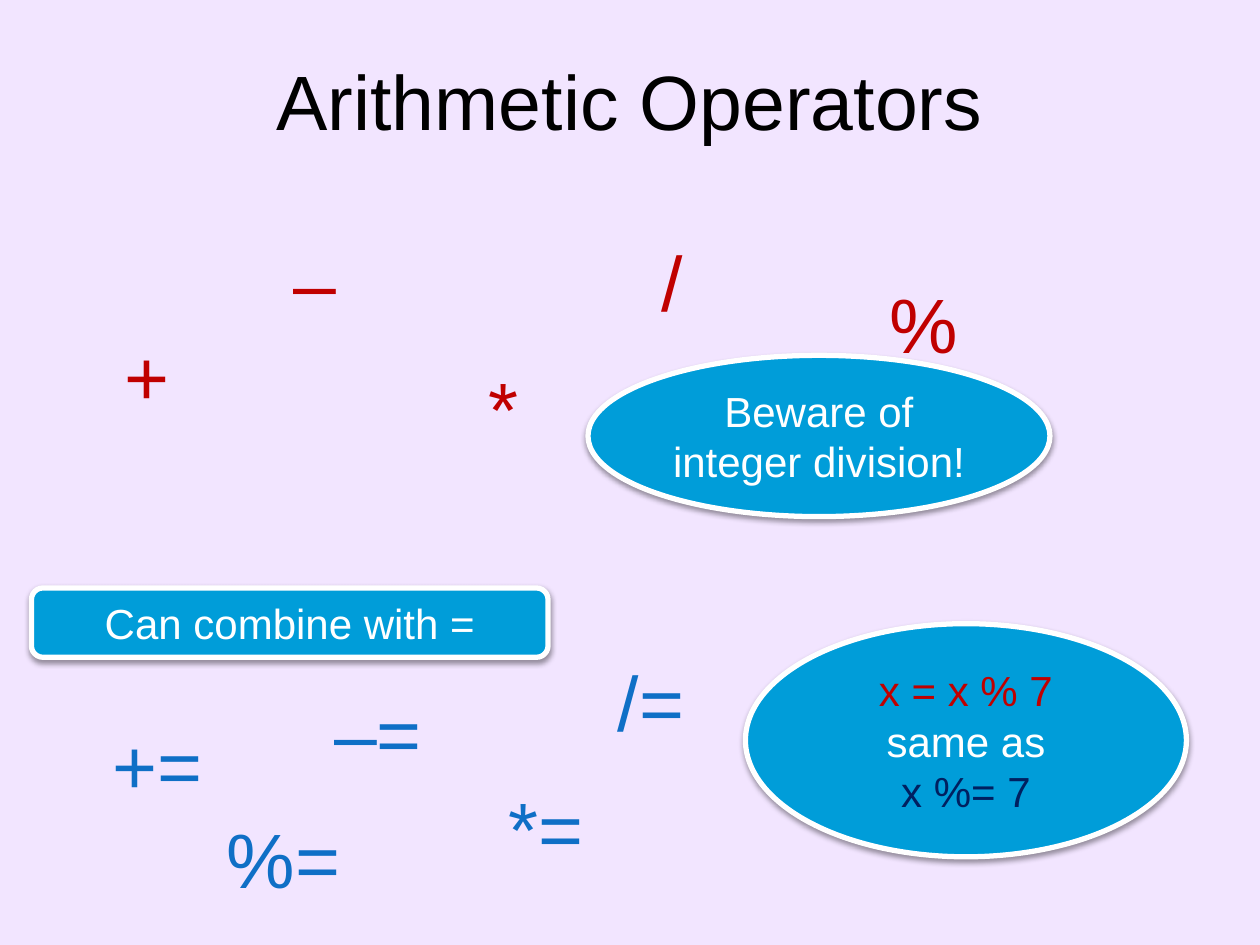
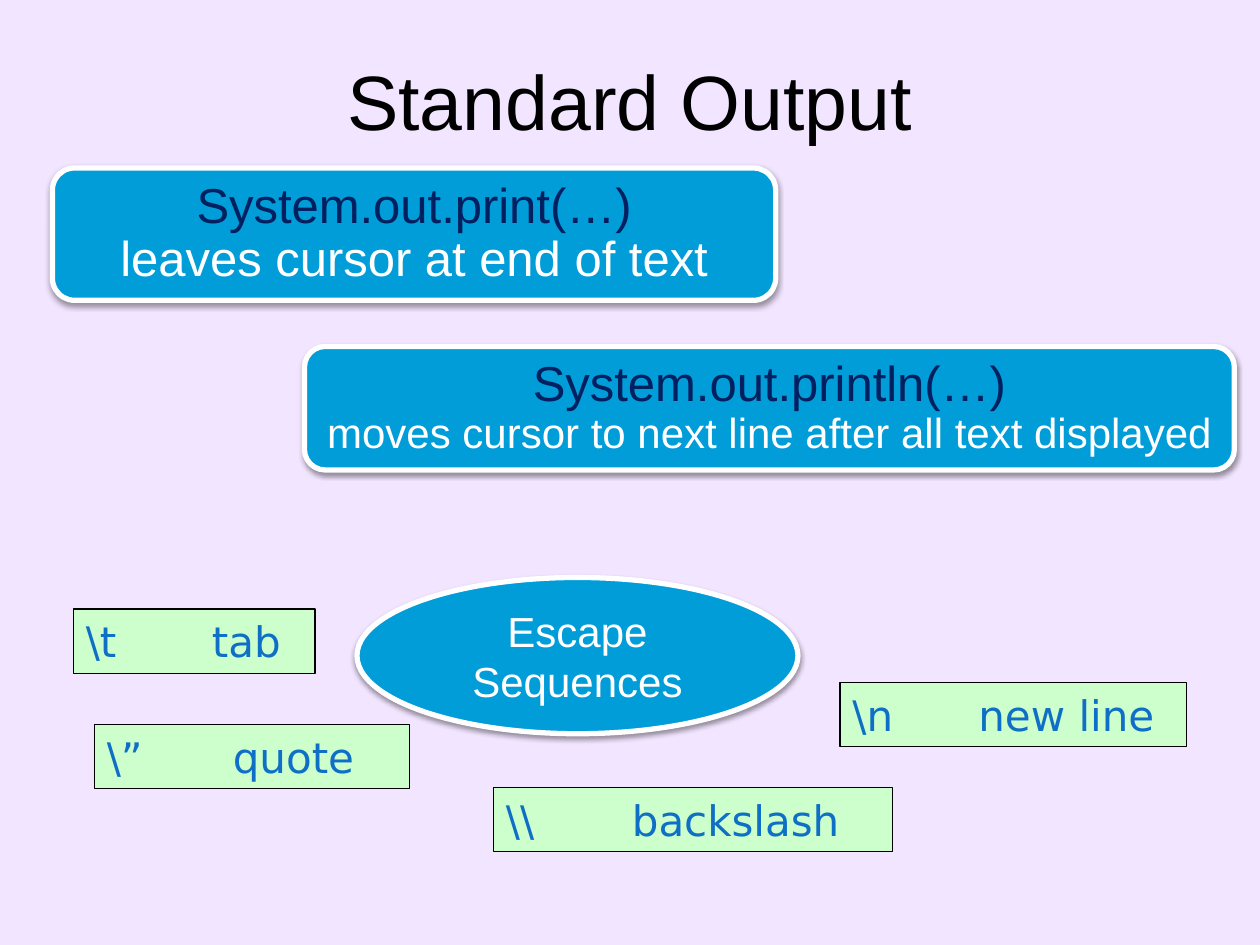
"""Build two slides on Java operators and standard output."""
import dataclasses

import lxml.etree
import pptx
import pptx.dml.color
import pptx.enum.shapes
import pptx.enum.text
import pptx.oxml.ns
import pptx.shapes.autoshape
import pptx.slide
import pptx.text.text
import pptx.util

COLORS = {
    "background": "F2E5FF",
    "title": "000000",
    "callout": "009DD9",
    "white": "FFFFFF",
    "operator": "C00000",
    "code": "002060",
    "combined": "0F6FC6",
    "key": "CCFFCC",
    "key_border": "000000",
}
SLIDE_WIDTH = pptx.util.Inches(10)
SLIDE_HEIGHT = pptx.util.Inches(7.5)
COLUMN = SLIDE_WIDTH / 120
ROW = SLIDE_HEIGHT / 90
SHAPES = pptx.enum.shapes.MSO_SHAPE
ALIGN = pptx.enum.text.PP_ALIGN
ANCHOR = pptx.enum.text.MSO_ANCHOR


@dataclasses.dataclass(frozen=True)
class Area:
    """A place on the slide in grid columns and rows."""
    column: float
    row: float
    columns: float
    rows: float

    def emu(self) -> tuple[int, int, int, int]:
        """Return left, top, width and height in EMU."""
        return (round(self.column * COLUMN), round(self.row * ROW),
                round(self.columns * COLUMN), round(self.rows * ROW))


@dataclasses.dataclass(frozen=True)
class Line:
    """One paragraph of a callout."""
    text: str
    color: str = "white"
    size: float = 24


@dataclasses.dataclass(frozen=True)
class Callout:
    """A blue shape with a white border and a soft shadow."""
    outline: SHAPES
    area: Area
    lines: tuple[Line, ...]
    spacing: float = 1.0


@dataclasses.dataclass(frozen=True)
class Operator:
    """A large operator sign placed on the grid."""
    sign: str
    column: float
    row: float
    color: str = "operator"


@dataclasses.dataclass(frozen=True)
class EscapeKey:
    """An escape sequence with its meaning."""
    sequence: str
    meaning: str
    column: float
    row: float
    columns: float


TITLE_AREA = Area(6, 2, 108, 15)

OPERATORS = (
    Operator("+", 4, 30),
    Operator("–", 20, 21),
    Operator("*", 38, 33),
    Operator("/", 54, 21),
    Operator("% ", 79, 25),
    Operator("+=", 5, 67, "combined"),
    Operator("–=", 26, 64, "combined"),
    Operator("*=", 42, 73, "combined"),
    Operator("/=", 52, 61, "combined"),
    Operator("%=", 17, 76, "combined"),
)

OPERATOR_CALLOUTS = (
    Callout(SHAPES.OVAL, Area(56, 33.84, 44, 15.36),
            (Line("Beware of integer division!"),)),
    Callout(SHAPES.ROUNDED_RECTANGLE, Area(3, 56, 49.2, 6.6),
            (Line("Can combine with ="),)),
    Callout(SHAPES.OVAL, Area(71, 59.4, 42, 22.2),
            (Line("x = x % 7", "operator"), Line("same as"), Line("x %= 7", "code"))),
)

OUTPUT_CALLOUTS = (
    Callout(SHAPES.ROUNDED_RECTANGLE, Area(5, 16, 68.88, 12.6),
            (Line("System.out.print(…)", "code", 28),
             Line("leaves cursor at end of text", size=28)), 0.9),
    Callout(SHAPES.OVAL, Area(34, 55, 42, 14.88), (Line("Escape Sequences"),)),
    Callout(SHAPES.ROUNDED_RECTANGLE, Area(29, 33, 88.56, 11.76),
            (Line("System.out.println(…)", "code", 28),
             Line("moves cursor to next line after all text displayed")), 0.9),
)

ESCAPE_KEYS = (
    EscapeKey(r"\t", "tab", 7, 58, 23),
    EscapeKey(r"\”", "quote", 9, 69, 30),
    EscapeKey(r"\\", "backslash", 47, 75, 38),
    EscapeKey(r"\n", "new line", 80, 65, 33),
)


def rgb(name: str) -> pptx.dml.color.RGBColor:
    """Look up a palette colour."""
    return pptx.dml.color.RGBColor.from_string(COLORS[name])


def write(frame: pptx.text.text.TextFrame, text: str, *, color: str, size: float = 24,
          font: str = "Arial", align: ALIGN = ALIGN.CENTER, spacing: float = 1.0,
          anchor: ANCHOR = ANCHOR.MIDDLE, tab_stop: int = 0) -> None:
    """Write one paragraph into a wrapped text frame."""
    frame.word_wrap = True
    frame.vertical_anchor = anchor
    paragraph = frame.paragraphs[0] if not frame.text else frame.add_paragraph()
    paragraph.alignment = align
    paragraph.line_spacing = spacing
    if tab_stop:
        properties = paragraph._p.get_or_add_pPr()
        stops = lxml.etree.SubElement(properties, pptx.oxml.ns.qn("a:tabLst"))
        lxml.etree.SubElement(stops, pptx.oxml.ns.qn("a:tab"), pos=str(tab_stop), algn="l")
    run = paragraph.add_run()
    run.text = text
    run.font.name = font
    run.font.size = pptx.util.Pt(size)
    run.font.color.rgb = rgb(color)


def add_panel(slide: pptx.slide.Slide, outline: SHAPES, area: Area, fill: str,
              border: str, border_width: float) -> pptx.shapes.autoshape.Shape:
    """Add a filled and bordered shape without a shadow."""
    panel = slide.shapes.add_shape(outline, *area.emu())
    panel.fill.solid()
    panel.fill.fore_color.rgb = rgb(fill)
    panel.line.color.rgb = rgb(border)
    panel.line.width = pptx.util.Pt(border_width)
    panel.shadow.inherit = False
    return panel


def add_soft_shadow(panel: pptx.shapes.autoshape.Shape) -> None:
    """Give a panel a faint shadow straight below it."""
    qn = pptx.oxml.ns.qn
    effects = panel._element.spPr.find(qn("a:effectLst"))
    shadow = lxml.etree.SubElement(
        effects, qn("a:outerShdw"), blurRad=str(pptx.util.Pt(3.1)),
        dist=str(pptx.util.Pt(1.6)), dir="5400000", rotWithShape="0")
    tint = lxml.etree.SubElement(shadow, qn("a:srgbClr"), val="000000")
    lxml.etree.SubElement(tint, qn("a:alpha"), val="38000")


def draw_callout(slide: pptx.slide.Slide, callout: Callout) -> None:
    """Draw a callout with its lines."""
    panel = add_panel(slide, callout.outline, callout.area, "callout", "white", 3)
    add_soft_shadow(panel)
    for line in callout.lines:
        write(panel.text_frame, line.text, color=line.color, size=line.size,
              spacing=callout.spacing)


def draw_operator(slide: pptx.slide.Slide, operator: Operator) -> None:
    """Draw an operator sign."""
    area = Area(operator.column, operator.row, 20, 10)
    frame = slide.shapes.add_textbox(*area.emu()).text_frame
    frame.margin_top = pptx.util.Inches(0.11)
    write(frame, operator.sign, color=operator.color, size=44, anchor=ANCHOR.TOP)


def draw_escape_key(slide: pptx.slide.Slide, key: EscapeKey) -> None:
    """Draw an escape sequence box."""
    area = Area(key.column, key.row, key.columns, 6.12)
    panel = add_panel(slide, SHAPES.RECTANGLE, area, "key", "key_border", 0.75)
    write(panel.text_frame, f"{key.sequence}\t{key.meaning}", color="combined",
          font="DejaVu Sans", align=ALIGN.LEFT, tab_stop=pptx.util.Inches(1))


def add_titled_slide(deck: pptx.presentation.Presentation, title: str) -> pptx.slide.Slide:
    """Add a blank slide with the shared background and title."""
    slide = deck.slides.add_slide(deck.slide_layouts[6])
    slide.background.fill.solid()
    slide.background.fill.fore_color.rgb = rgb("background")
    heading = slide.shapes.add_textbox(*TITLE_AREA.emu())
    write(heading.text_frame, title, color="title", size=44)
    return slide


def main() -> None:
    """Build and save the deck."""
    deck = pptx.Presentation()
    deck.slide_width, deck.slide_height = SLIDE_WIDTH, SLIDE_HEIGHT

    arithmetic = add_titled_slide(deck, "Arithmetic Operators")
    for callout in OPERATOR_CALLOUTS:
        draw_callout(arithmetic, callout)
    for operator in OPERATORS:
        draw_operator(arithmetic, operator)

    output = add_titled_slide(deck, "Standard Output")
    for callout in OUTPUT_CALLOUTS:
        draw_callout(output, callout)
    for key in ESCAPE_KEYS:
        draw_escape_key(output, key)

    deck.save("out.pptx")


if __name__ == "__main__":
    main()
